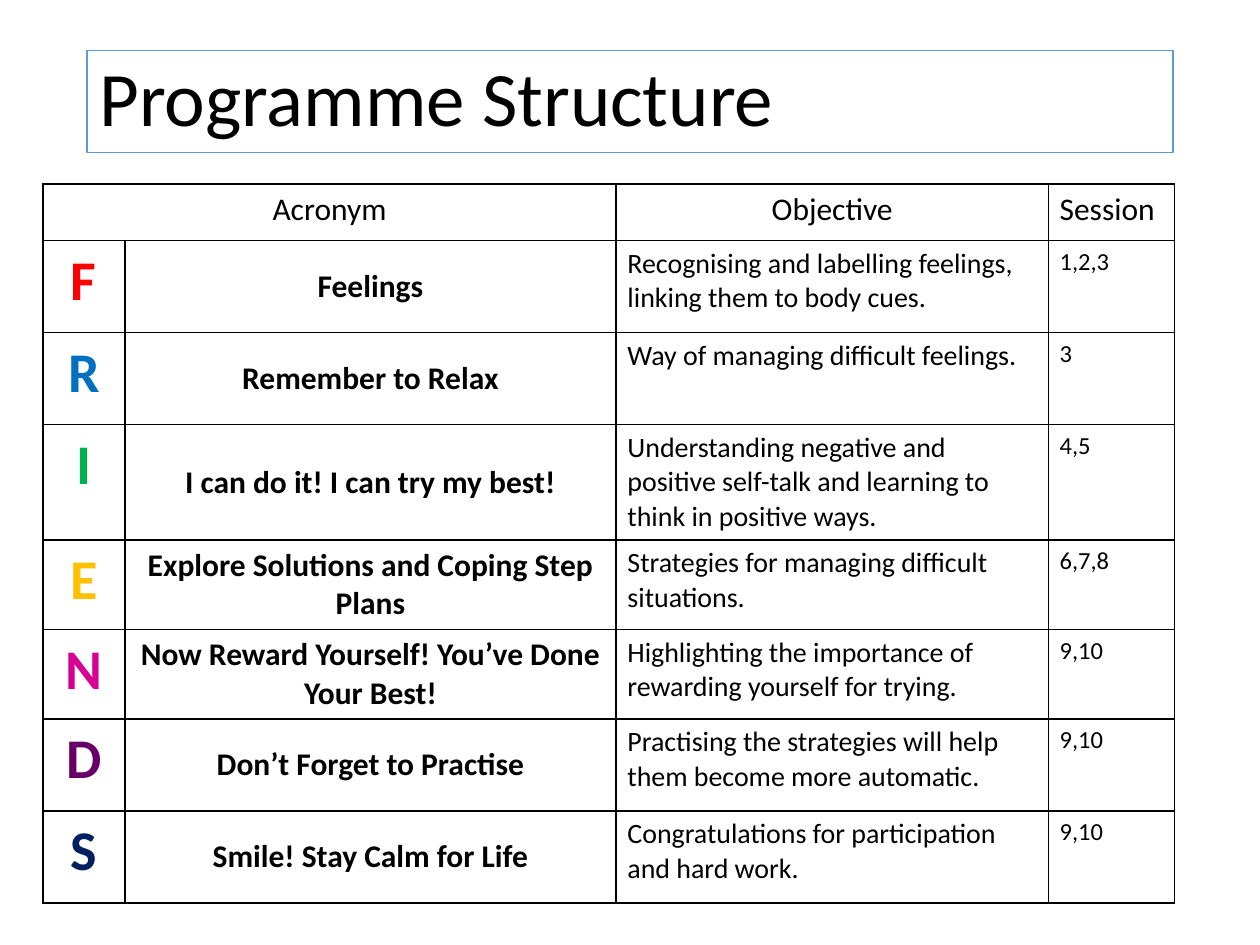
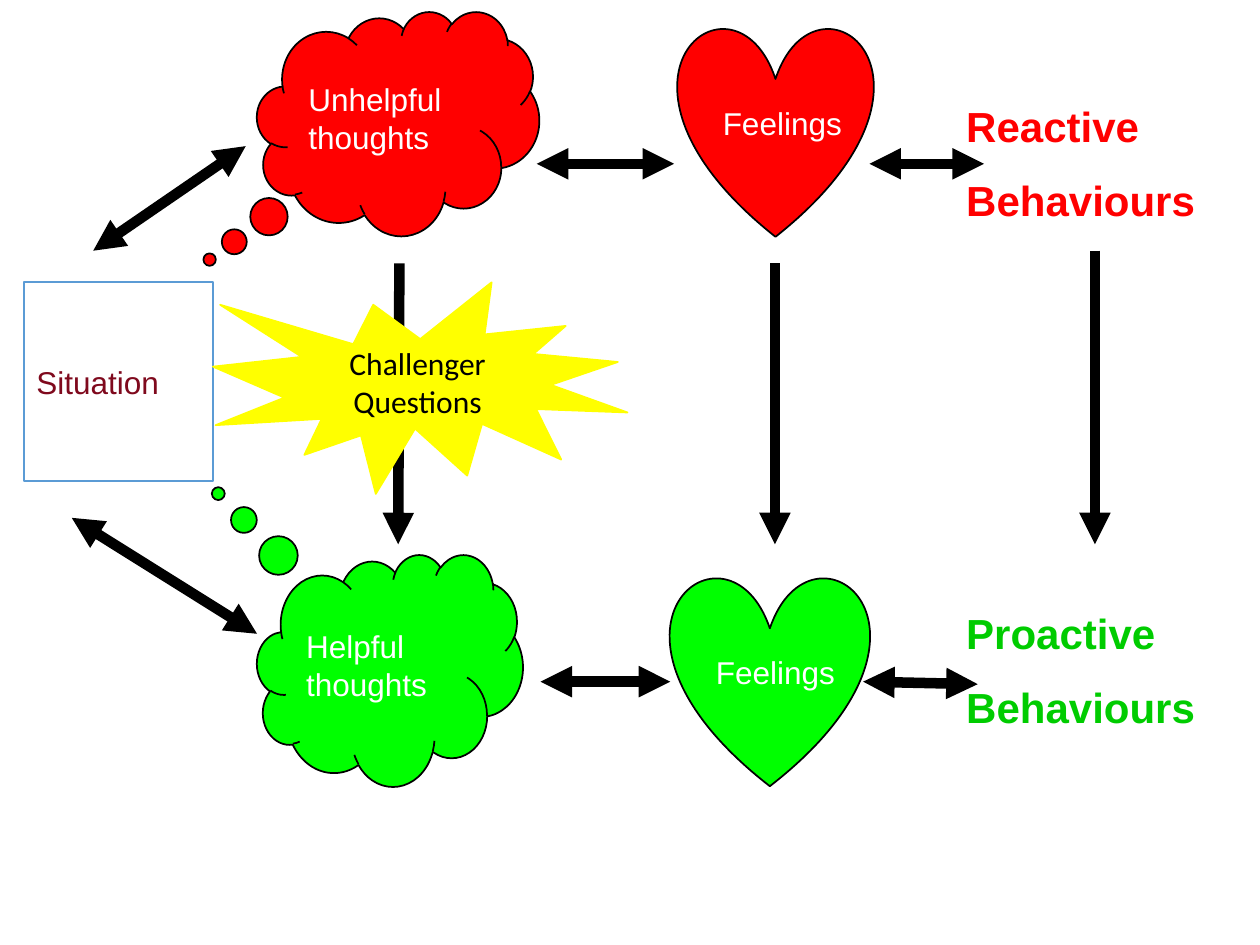
from lxml.etree import SubElement
from pptx import Presentation
from pptx.dml.color import RGBColor
from pptx.enum.shapes import MSO_CONNECTOR, MSO_SHAPE
from pptx.enum.text import MSO_ANCHOR, PP_ALIGN
from pptx.oxml.ns import qn
from pptx.util import Inches, Pt

BLACK, WHITE = "000000", "FFFFFF"
RED, GREEN, YELLOW = "FF0000", "00FF00", "FFFF00"
FRAME_BLUE = "5B9BD5"

COLUMN_WIDTHS = [0.65, 3.9, 3.43, 1]
ROW_HEIGHTS = [0.45, 0.73, 0.73, 0.73, 0.69, 0.71, 0.73, 0.73]
STEPS = [
    ("F", RED, "Feelings",
     "Recognising and labelling feelings, linking them to body cues.", "1,2,3"),
    ("R", "0070C0", "Remember to Relax",
     "Way of managing difficult feelings.", "3"),
    ("I", "00B050", "I can do it! I can try my best!",
     "Understanding negative and positive self-talk and learning to think in positive ways.", "4,5"),
    ("E", "FFC000", "Explore Solutions and Coping Step Plans",
     "Strategies for managing difficult situations.", "6,7,8"),
    ("N", "D60093", "Now Reward Yourself! You’ve Done Your Best!",
     "Highlighting the importance of rewarding yourself for trying.", "9,10"),
    ("D", "660066", "Don’t Forget to Practise",
     "Practising the strategies will help them become more automatic.", "9,10"),
    ("S", "002060", "Smile! Stay Calm for Life",
     "Congratulations for participation and hard work.", "9,10"),
]
TWO_WAY_ARROWS = [
    (4.26, 1.3, 5.35, 1.3), (0.74, 1.99, 1.95, 1.16), (6.9, 1.3, 7.81, 1.3),
    (4.29, 5.41, 5.32, 5.41), (6.85, 5.41, 7.76, 5.43), (0.57, 4.11, 2.04, 5.03),
]
DOWN_ARROWS = [(3.17, 2.09, 3.16, 4.32), (8.69, 1.99, 8.69, 4.32), (6.15, 2.09, 6.15, 4.32)]


def color(value):
    """Turn a hex string into a colour."""
    return RGBColor.from_string(value)


def write(frame, text, size, ink=BLACK, font="Calibri", bold=False, align=PP_ALIGN.LEFT):
    """Fill a text frame and format all of its runs."""
    frame.text = text
    for paragraph in frame.paragraphs:
        paragraph.alignment = align
        for run in paragraph.runs:
            run.font.size = Pt(size)
            run.font.name = font
            run.font.bold = bold
            run.font.color.rgb = color(ink)


def add_figure(slide, kind, box, fill, outline, text, wrap=False, **style):
    """Add a filled, outlined shape with vertically centred text."""
    figure = slide.shapes.add_shape(kind, *map(Inches, box))
    figure.shadow.inherit = False
    figure.fill.solid()
    figure.fill.fore_color.rgb = color(fill)
    figure.line.color.rgb = color(outline)
    figure.line.width = Pt(1)
    figure.text_frame.word_wrap = wrap
    figure.text_frame.vertical_anchor = MSO_ANCHOR.MIDDLE
    write(figure.text_frame, text, **style)
    return figure


def add_arrow(slide, ends, two_way=False):
    """Add a thick black arrow with a head at one or both ends."""
    arrow = slide.shapes.add_connector(MSO_CONNECTOR.STRAIGHT, *map(Inches, ends))
    arrow.line.color.rgb = color(BLACK)
    arrow.line.width = Pt(6)
    outline = arrow.line._get_or_add_ln()
    for tag in ("a:headEnd", "a:tailEnd") if two_way else ("a:tailEnd",):
        SubElement(outline, qn(tag), type="triangle")
    SubElement(arrow._element.spPr, qn("a:effectLst"))


def add_behaviours(slide, top, text, ink):
    """Add the bold two-line label at the end of a chain."""
    label = slide.shapes.add_textbox(Inches(7.57), Inches(top), Inches(2.25), Inches(1.1))
    label.text_frame.word_wrap = True
    write(label.text_frame, text, 24, ink, "Arial", bold=True)
    label.text_frame.paragraphs[1].space_before = Pt(13.5)


def add_chain(slide, paint, thoughts, cloud_box, tail, heart_box):
    """Add the thought cloud and the heart of one chain."""
    style = dict(size=18, ink=WHITE, font="Arial")
    add_figure(slide, MSO_SHAPE.HEART, heart_box, paint, BLACK, "Feelings", **style)
    cloud = add_figure(slide, MSO_SHAPE.CLOUD_CALLOUT, cloud_box, paint, BLACK, thoughts, **style)
    for index, offset in enumerate(tail):
        cloud.adjustments[index] = offset


def fill_cell(cell, text, size, anchor=MSO_ANCHOR.TOP, **style):
    """Write a white table cell with thin black borders."""
    cell.margin_left = cell.margin_right = Inches(0.09)
    cell.vertical_anchor = anchor
    write(cell.text_frame, text, size, **style)
    properties = cell._tc.get_or_add_tcPr()
    for side in "LRTB":
        border = SubElement(properties, qn(f"a:ln{side}"), w=str(Pt(1)))
        paint = SubElement(border, qn("a:solidFill"))
        SubElement(paint, qn("a:srgbClr"), val=BLACK)
    cell.fill.solid()
    cell.fill.fore_color.rgb = color(WHITE)


def add_programme(slide):
    """Add the table of steps, objectives and sessions."""
    programme = slide.shapes.add_table(
        len(ROW_HEIGHTS), len(COLUMN_WIDTHS), Inches(0.34), Inches(1.46),
        Inches(sum(COLUMN_WIDTHS)), Inches(sum(ROW_HEIGHTS))).table
    for column, width in zip(programme.columns, COLUMN_WIDTHS):
        column.width = Inches(width)
    for row, height in zip(programme.rows, ROW_HEIGHTS):
        row.height = Inches(height)
    center = PP_ALIGN.CENTER
    headings = [("Acronym", center), ("", center), ("Objective", center), ("Session", PP_ALIGN.LEFT)]
    for column, (heading, align) in enumerate(headings):
        fill_cell(programme.cell(0, column), heading, 18, align=align)
    programme.cell(0, 0).merge(programme.cell(0, 1))
    for row, (letter, ink, meaning, objective, sessions) in enumerate(STEPS, 1):
        fill_cell(programme.cell(row, 0), letter, 32, ink=ink, bold=True, align=center)
        fill_cell(programme.cell(row, 1), meaning, 18, MSO_ANCHOR.MIDDLE, bold=True, align=center)
        fill_cell(programme.cell(row, 2), objective, 16)
        fill_cell(programme.cell(row, 3), sessions, 14)


def build_structure(slide):
    """Build the programme structure slide."""
    title = add_figure(slide, MSO_SHAPE.RECTANGLE, (0.69, 0.4, 8.62, 0.81), WHITE, FRAME_BLUE,
                       "Programme Structure", wrap=True, size=44)
    title.text_frame.paragraphs[0].line_spacing = 0.9
    add_programme(slide)


def build_thought_paths(slide):
    """Build the slide that sets unhelpful against helpful thoughts."""
    add_chain(slide, RED, "Unhelpful\nthoughts", (2.04, 0.09, 2.24, 1.78),
              (-0.668, 0.607), (5.38, 0.21, 1.55, 1.67))
    add_chain(slide, GREEN, "Helpful\nthoughts", (2.04, 4.4, 2.11, 1.84),
              (-0.646, -0.762), (5.32, 4.57, 1.58, 1.67))
    add_figure(slide, MSO_SHAPE.RECTANGLE, (0.19, 2.24, 1.5, 1.58), WHITE, FRAME_BLUE,
               "Situation", size=18, ink="7F091D", font="Arial")
    add_behaviours(slide, 0.75, "Reactive\nBehaviours", RED)
    add_behaviours(slide, 4.77, "Proactive\nBehaviours", "00CC00")
    for ends in TWO_WAY_ARROWS:
        add_arrow(slide, ends, two_way=True)
    for ends in DOWN_ARROWS:
        add_arrow(slide, ends)
    add_figure(slide, MSO_SHAPE.EXPLOSION1, (1.69, 2.24, 3.29, 1.68), YELLOW, YELLOW,
               "Challenger Questions", wrap=True, size=18, align=PP_ALIGN.CENTER)


def main():
    """Build and save the presentation."""
    deck = Presentation()
    deck.slide_width, deck.slide_height = Inches(10), Inches(7.5)
    for build in (build_structure, build_thought_paths):
        build(deck.slides.add_slide(deck.slide_layouts[6]))
    deck.save("out.pptx")


if __name__ == "__main__":
    main()
